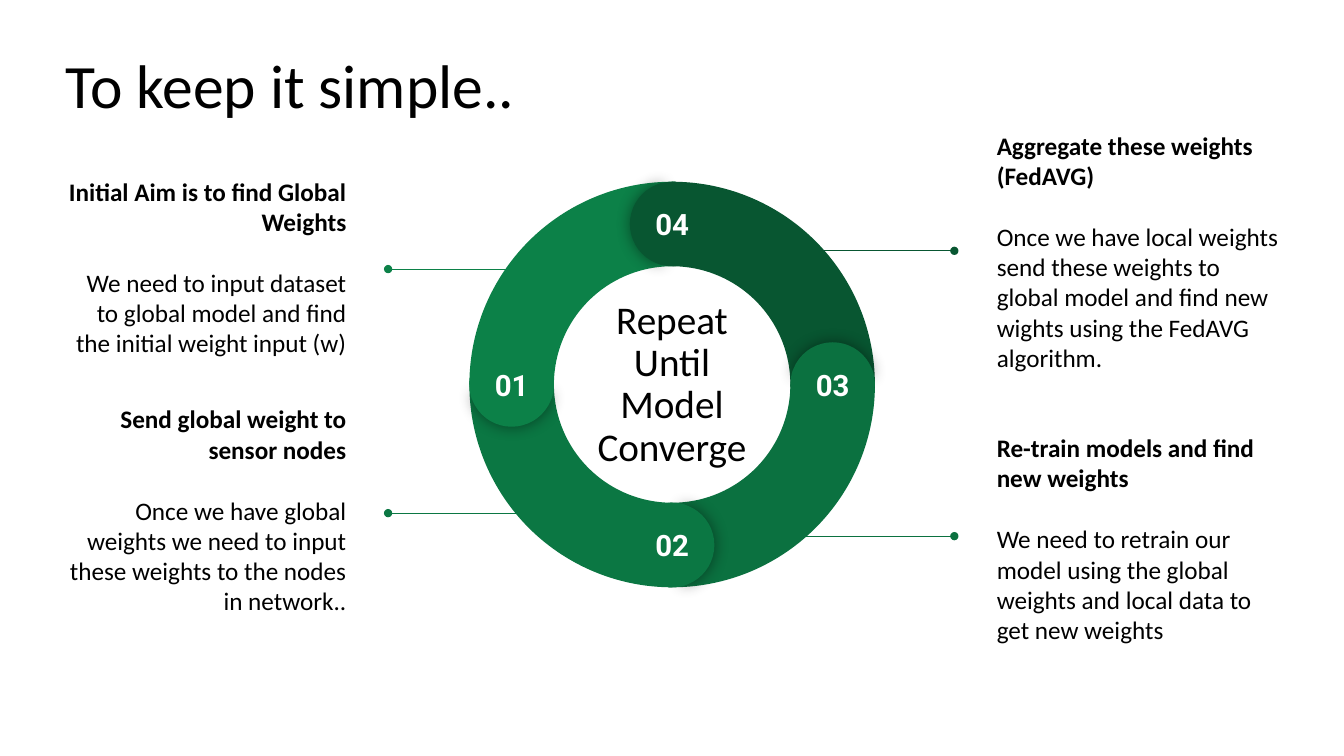
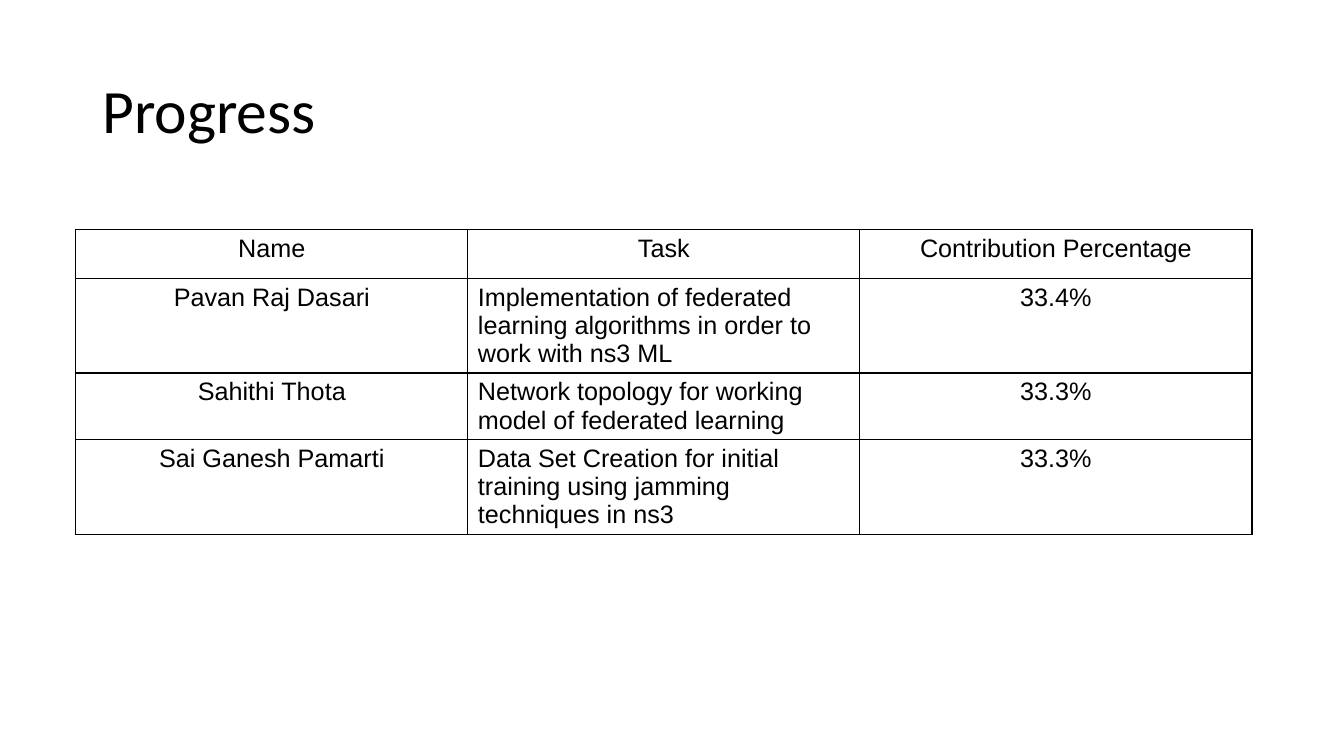
from math import cos, radians, sin

from pptx import Presentation
from pptx.dml.color import RGBColor
from pptx.enum.shapes import MSO_CONNECTOR, MSO_SHAPE
from pptx.enum.text import MSO_ANCHOR, MSO_AUTO_SIZE, PP_ALIGN
from pptx.oxml import parse_xml
from pptx.oxml.ns import nsdecls, qn
from pptx.util import Cm, Pt

COLORS = {
    "text": "000000",
    "background": "FFFFFF",
    "step_1": "0C8148",
    "step_2": "0B7743",
    "step_3": "0B7140",
    "step_4": "085631",
}
LEFT, CENTER, RIGHT = PP_ALIGN.LEFT, PP_ALIGN.CENTER, PP_ALIGN.RIGHT

CYCLE_TITLE = "To keep it simple.."
CYCLE_CENTER = "Repeat Until Model Converge"
STEPS = [
    {"number": "01", "color": "step_1", "align": RIGHT, "text_top": 4.34,
     "line": (13.64, 9.78, 6.78),
     "heading": "Initial Aim is to find Global Weights",
     "body": "We need to input dataset to global model and find the initial weight input (w)"},
    {"number": "02", "color": "step_2", "align": RIGHT, "text_top": 10.46,
     "line": (14.63, 9.78, 12.93),
     "heading": "Send global weight to sensor nodes",
     "body": "Once we have global weights we need to input these weights to the nodes in network.."},
    {"number": "03", "color": "step_3", "align": LEFT, "text_top": 11.18,
     "line": (19.3, 24.05, 13.51),
     "heading": "Re-train models and find new weights",
     "body": "We need to retrain our model using the global weights and local data to get new weights"},
    {"number": "04", "color": "step_4", "align": LEFT, "text_top": 3.94,
     "line": (19.3, 24.05, 6.32),
     "heading": "Aggregate these weights (FedAVG)",
     "body": "Once we have local weights send these weights to global model and find new "
             "wights using the FedAVG algorithm."},
]

PROGRESS_TITLE = "Progress"
PROGRESS_ROWS = [
    ("Name", "Task", "Contribution Percentage"),
    ("Pavan Raj Dasari",
     "Implementation of federated learning algorithms in order to work with ns3 ML", "33.4%"),
    ("Sahithi Thota", "Network topology for working model of federated learning", "33.3%"),
    ("Sai Ganesh Pamarti",
     "Data Set Creation for initial training using jamming techniques in ns3", "33.3%"),
]

RING_X, RING_Y, RING_RADIUS = 16.94, 9.69, 5.11
RING_THICKNESS = 2.13
CAP_RADIUS = RING_THICKNESS / 2
TEXT_LEFT = {RIGHT: 1.19, LEFT: 24.79}


def rgb(name):
    return RGBColor.from_string(COLORS[name])


def write(frame, text, font="Calibri", size=18, color="text", bold=False,
          align=LEFT, line_spacing=None, space_after=0):
    paragraph = frame.paragraphs[0] if not frame.text else frame.add_paragraph()
    paragraph.alignment = align
    paragraph.space_before, paragraph.space_after = Pt(0), Pt(space_after)
    if line_spacing:
        paragraph.line_spacing = line_spacing
    run = paragraph.add_run()
    run.text = text
    run.font.name, run.font.size, run.font.bold = font, Pt(size), bold
    run.font.color.rgb = rgb(color)


def add_text_box(slide, left, top, width, height, margin=0.33):
    frame = slide.shapes.add_textbox(Cm(left), Cm(top), Cm(width), Cm(height)).text_frame
    frame.word_wrap = True
    frame.vertical_anchor = MSO_ANCHOR.MIDDLE
    frame.margin_left = frame.margin_right = Cm(margin)
    frame.margin_top = frame.margin_bottom = Cm(0)
    return frame


def add_titled_slide(presentation, text, left, top, width, height):
    slide = presentation.slides.add_slide(presentation.slide_layouts[5])
    title = slide.shapes.title
    title.left, title.top, title.width, title.height = Cm(left), Cm(top), Cm(width), Cm(height)
    title.text_frame.auto_size = MSO_AUTO_SIZE.NONE
    title.text_frame.vertical_anchor = MSO_ANCHOR.MIDDLE
    write(title.text_frame, text, size=44, line_spacing=0.9)
    return slide


def add_sector(slide, kind, x, y, radius, color, start, end):
    shape = slide.shapes.add_shape(
        kind, Cm(x - radius), Cm(y - radius), Cm(2 * radius), Cm(2 * radius))
    for index, angle in enumerate((start, end)):
        shape.adjustments[index] = angle % 360 * 0.6
    shape.fill.solid()
    shape.fill.fore_color.rgb = rgb(color)
    shape.line.fill.background()
    shape.shadow.inherit = False
    return shape


def add_soft_shadow(shape):
    shape.element.spPr.find(qn("a:effectLst")).append(parse_xml(
        f'<a:outerShdw {nsdecls("a")} blurRad="142240" dist="0" dir="0" algn="ctr" '
        f'rotWithShape="0"><a:srgbClr val="{COLORS["text"]}"><a:alpha val="43000"/>'
        '</a:srgbClr></a:outerShdw>'))


def add_cap(slide, step, angle):
    middle = RING_RADIUS - CAP_RADIUS
    x = RING_X + middle * cos(radians(angle))
    y = RING_Y + middle * sin(radians(angle))
    front, back = angle - 90, angle + 90
    add_soft_shadow(add_sector(slide, MSO_SHAPE.PIE, x, y, CAP_RADIUS, step["color"],
                               front - 75, front + 75))
    add_sector(slide, MSO_SHAPE.PIE, x, y, CAP_RADIUS, step["color"], back - 110, back + 110)
    label = add_text_box(slide, x - CAP_RADIUS, y - CAP_RADIUS, 2 * CAP_RADIUS, 2 * CAP_RADIUS)
    write(label, step["number"], font="Roboto", size=21, color="background",
          bold=True, align=CENTER)


def add_pointer(slide, step):
    start, end, y = step["line"]
    connector = slide.shapes.add_connector(
        MSO_CONNECTOR.STRAIGHT, Cm(start), Cm(y), Cm(end), Cm(y))
    connector.line.color.rgb = rgb(step["color"])
    connector.line.width = Pt(0.75)
    properties = connector.element.spPr
    properties.find(qn("a:ln")).append(parse_xml(f'<a:tailEnd {nsdecls("a")} type="oval"/>'))
    properties.append(parse_xml(f'<a:effectLst {nsdecls("a")}/>'))


def build_cycle(presentation):
    slide = add_titled_slide(presentation, CYCLE_TITLE, 1.4, 1.12, 12.73, 2.21)
    angles = [180 - 90 * index for index in range(len(STEPS))]
    for step, angle in zip(STEPS, angles):
        arc = add_sector(slide, MSO_SHAPE.BLOCK_ARC, RING_X, RING_Y, RING_RADIUS,
                         step["color"], angle, angle + 91)
        arc.adjustments[2] = RING_THICKNESS / (2 * RING_RADIUS)
    for step, angle in zip(STEPS, angles):
        add_cap(slide, step, angle)
        add_pointer(slide, step)
        frame = add_text_box(slide, TEXT_LEFT[step["align"]], step["text_top"], 7.87, 4.78)
        write(frame, step["heading"], bold=True, align=step["align"], space_after=22)
        write(frame, step["body"], align=step["align"])
    center = add_text_box(slide, 14.6, 7.29, 4.67, 4.83, margin=0.25)
    write(center, CYCLE_CENTER, size=28, align=CENTER, line_spacing=0.9)


def add_borders(cell):
    properties = cell._tc.get_or_add_tcPr()
    for index, side in enumerate(("lnL", "lnR", "lnT", "lnB")):
        properties.insert(index, parse_xml(
            f'<a:{side} {nsdecls("a")} w="12700"><a:solidFill>'
            f'<a:srgbClr val="{COLORS["text"]}"/></a:solidFill></a:{side}>'))


def build_progress(presentation):
    slide = add_titled_slide(presentation, PROGRESS_TITLE, 2.33, 1.02, 29.21, 3.68)
    row_count, column_count = len(PROGRESS_ROWS), len(PROGRESS_ROWS[0])
    table = slide.shapes.add_table(row_count, column_count, Cm(1.91), Cm(5.79),
                                   Cm(9.88 * column_count), Cm(6.17)).table
    table.horz_banding = False
    for row_index, values in enumerate(PROGRESS_ROWS):
        table.rows[row_index].height = Cm(1.65 if row_index else 1.22)
        for column_index, value in enumerate(values):
            cell = table.cell(row_index, column_index)
            cell.fill.solid()
            cell.fill.fore_color.rgb = rgb("background")
            add_borders(cell)
            is_task = row_index > 0 and column_index == 1
            write(cell.text_frame, value, font="Arial", align=LEFT if is_task else CENTER)


def main():
    presentation = Presentation()
    presentation.slide_width, presentation.slide_height = Cm(33.87), Cm(19.05)
    build_cycle(presentation)
    build_progress(presentation)
    presentation.save("out.pptx")


if __name__ == "__main__":
    main()
